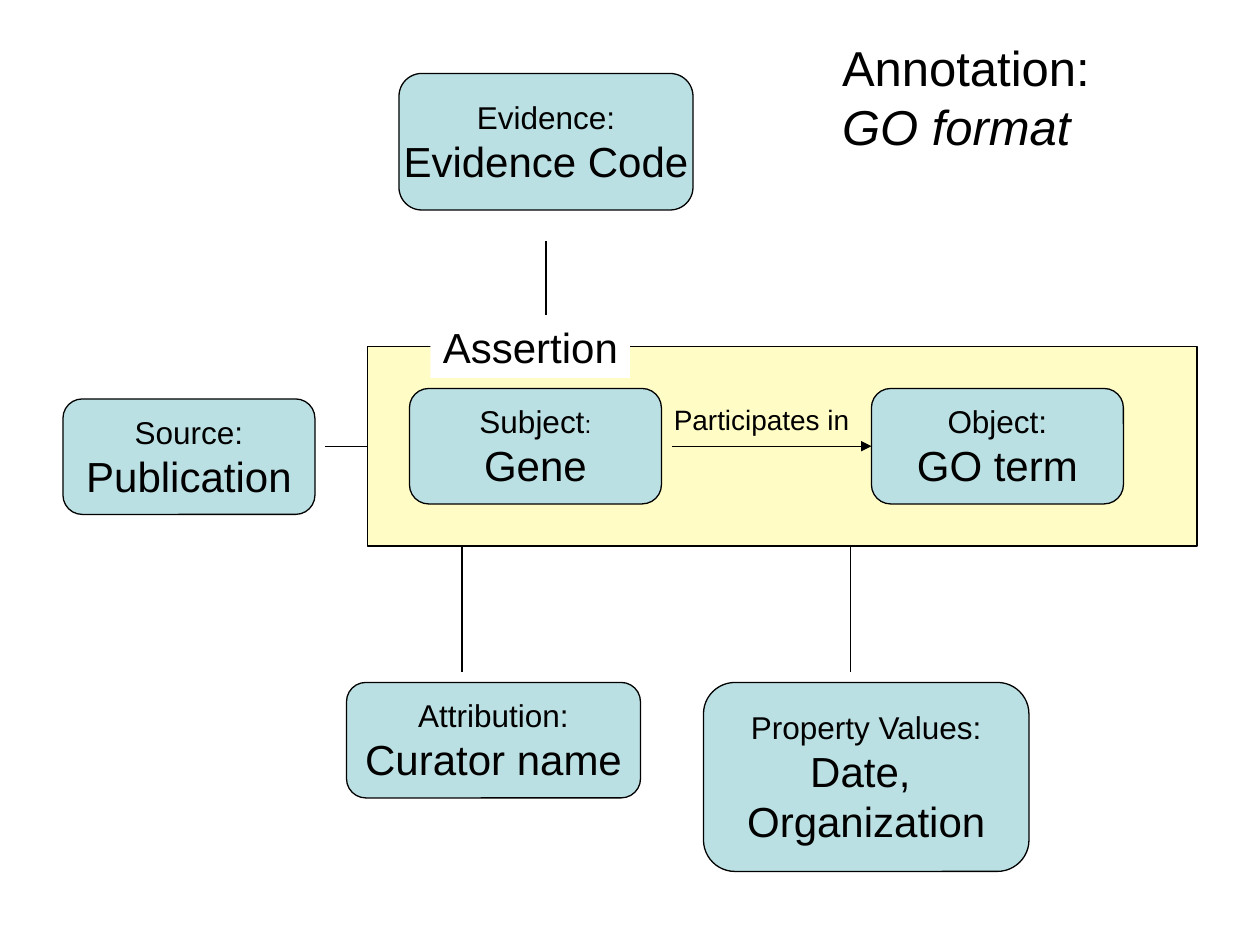
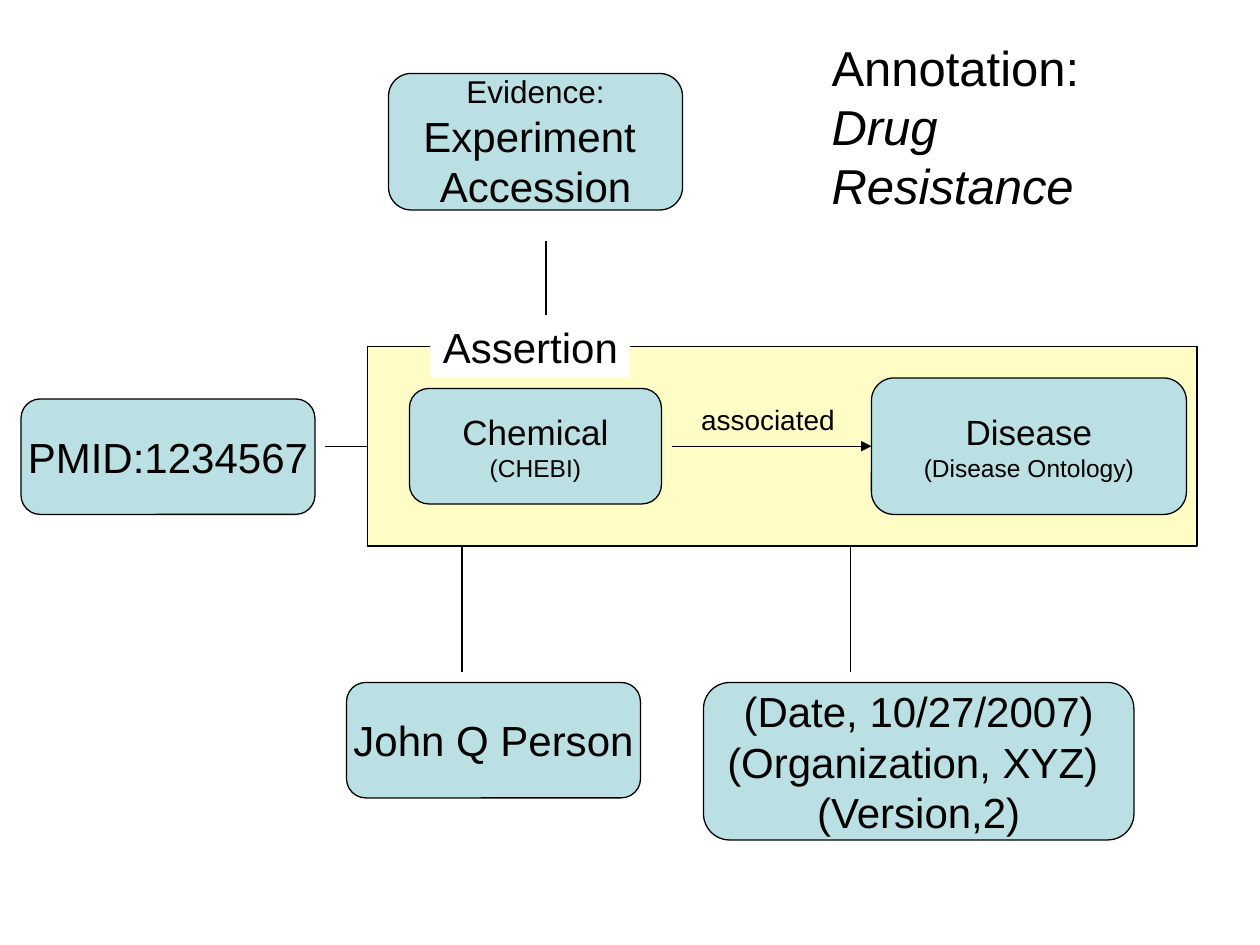
"""Draw two annotation models as boxes around an assertion."""
from dataclasses import dataclass

import pptx
import pptx.dml.color
import pptx.enum.shapes
import pptx.enum.text
import pptx.oxml
import pptx.oxml.ns
import pptx.util

KIND = pptx.enum.shapes.MSO_SHAPE
ALIGN = pptx.enum.text.PP_ALIGN
ANCHOR = pptx.enum.text.MSO_ANCHOR
FIT = pptx.enum.text.MSO_AUTO_SIZE


@dataclass(frozen=True)
class Theme:
    """Colours, font, sizes and line width."""
    ink: str = "000000"
    paper: str = "FFFFFF"
    box: str = "BBE0E3"
    frame: str = "FFFCC5"
    font: str = "Arial"
    title: int = 28
    large: int = 24
    name: int = 20
    head: int = 18
    link: int = 16
    small: int = 14
    line: float = 0.75


def put(item, **form):
    """Set each format value on the item."""
    for key, value in form.items():
        setattr(item, key, value)


def color(code):
    """Turn a hex code into a colour."""
    return pptx.dml.color.RGBColor.from_string(code)


class Board:
    """Hold the style and the current slide on a 120 by 90 grid."""

    cols, rows = 120, 90

    def __init__(self, theme):
        """Start an empty deck."""
        self.theme = theme
        self.deck = pptx.Presentation()
        put(self.deck, slide_width=pptx.util.Inches(10), slide_height=pptx.util.Inches(7.5))
        self.slide = None

    def place(self, *cells):
        """Turn column and row pairs into lengths."""
        units = (self.deck.slide_width / self.cols, self.deck.slide_height / self.rows)
        return [round(cell * units[i % 2]) for i, cell in enumerate(cells)]

    def letter(self, shape, lines, align, anchor=ANCHOR.TOP):
        """Fill a shape with lines, each a list of (text, size, italic) runs."""
        frame = shape.text_frame
        put(frame, auto_size=FIT.NONE, word_wrap=False, vertical_anchor=anchor)
        for i, line in enumerate(lines):
            para = frame.add_paragraph() if i else frame.paragraphs[0]
            para.alignment = align
            for text, size, *slant in line:
                run = para.add_run()
                run.text = text
                put(run.font, name=self.theme.font, size=pptx.util.Pt(size),
                    italic=bool(slant))
                run.font.color.rgb = color(self.theme.ink)

    def title(self, cells, text):
        """Add a slide with a two-line title, the second in italics."""
        self.slide = self.deck.slides.add_slide(self.deck.slide_layouts[5])
        head = self.slide.shapes.title
        put(head, **dict(zip(("left", "top", "width", "height"), self.place(*cells))))
        size = self.theme.title
        self.letter(head, [[("Annotation:", size)], [(text, size, True)]], ALIGN.LEFT)

    def panel(self, cells, fill, kind=KIND.RECTANGLE, edge=True):
        """Add a filled shape, with or without an edge."""
        shape = self.slide.shapes.add_shape(kind, *self.place(*cells))
        shape.shadow.inherit = False
        shape.fill.solid()
        shape.fill.fore_color.rgb = color(fill)
        if edge:
            self.stroke(shape.line)
        else:
            shape.line.fill.background()
        return shape

    def box(self, cells, *lines):
        """Add a rounded box with centred lines."""
        shape = self.panel(cells, self.theme.box, KIND.ROUNDED_RECTANGLE)
        self.letter(shape, lines, ALIGN.CENTER, ANCHOR.MIDDLE)
        return shape

    def label(self, cells, text):
        """Add a plain text label."""
        shape = self.slide.shapes.add_textbox(*self.place(*cells))
        self.letter(shape, [[(text, self.theme.link)]], ALIGN.LEFT)

    def stroke(self, line):
        """Style a line or edge."""
        line.color.rgb = color(self.theme.ink)
        line.width = pptx.util.Pt(self.theme.line)

    def link(self, cells, goal=None, arrow=False):
        """Add a straight line, joined to the left side of a goal if given."""
        wire = self.slide.shapes.add_connector(
            pptx.enum.shapes.MSO_CONNECTOR.STRAIGHT, *self.place(*cells))
        self.stroke(wire.line)
        props = wire._element.spPr
        if arrow:
            tail = pptx.oxml.ns.qn("a:tailEnd")
            props.find(pptx.oxml.ns.qn("a:ln")).append(props.makeelement(tail, {"type": "triangle"}))
        props.append(props.makeelement(pptx.oxml.ns.qn("a:effectLst"), {}))
        if goal is not None:
            wire.end_connect(goal, 1)

    def model(self, title, span, verb, reach, boxes):
        """Draw one annotation model."""
        self.title((span[0], 3, span[1], 12.5), title)
        frame = self.panel((35, 33, 79, 19), self.theme.frame)
        drawn = {name: self.box(cells, *lines) for name, (cells, *lines) in boxes.items()}
        self.link((64, 42.5, 83, 42.5), drawn["object"], arrow=True)
        self.label((reach[0], 37.7, reach[1], 4.4), verb)
        tag = self.panel((41, 30, 19, 6), self.theme.paper, edge=False)
        self.letter(tag, [[("Assertion", self.theme.large)]], ALIGN.LEFT)
        self.link((31, 42.5, 35, 42.5), frame)
        self.link((52, 23, 52, 30))
        for col in (44, 81):
            self.link((col, 52, col, 64))


def main():
    """Build both slides and save the deck."""
    theme = Theme()
    board = Board(theme)

    def head(text):
        return [(text, theme.head)]

    def large(text):
        return [(text, theme.large)]

    def name(text):
        return [(text, theme.name)]

    def small(text):
        return [(text, theme.small)]

    board.model("GO format", (79, 28.5), "Participates in", (63, 19), {
        "subject": ((39, 37, 24, 11), head("Subject") + small(":"), large("Gene")),
        "object": ((83, 37, 24, 11), head("Object:"), large("GO term")),
        "source": ((6, 38, 24, 11), head("Source:"), large("Publication")),
        "author": ((33, 65, 28, 11), head("Attribution:"), large("Curator name")),
        "proof": ((38, 7, 28, 13), head("Evidence:"), large("Evidence Code")),
        "values": ((67, 65, 31, 18), head("Property Values:"), large("Date, "),
                   large("Organization")),
    })
    board.model("Drug Resistance", (78, 36.8), "associated", (65.6, 15.1), {
        "subject": ((39, 37, 24, 11), name("Chemical"), small("(CHEBI)")),
        "object": ((83, 36, 30, 13), name("Disease"), small("(Disease Ontology)")),
        "source": ((2, 38, 28, 11), large("PMID:1234567")),
        "author": ((33, 65, 28, 11), large("John Q Person")),
        "proof": ((37, 7, 28, 13), head("Evidence:"), large("Experiment "),
                  large("Accession")),
        "values": ((67, 65, 41, 15), large("(Date, 10/27/2007)"),
                   large("(Organization, XYZ) "), large("(Version,2)")),
    })
    board.deck.save("out.pptx")


if __name__ == "__main__":
    main()
